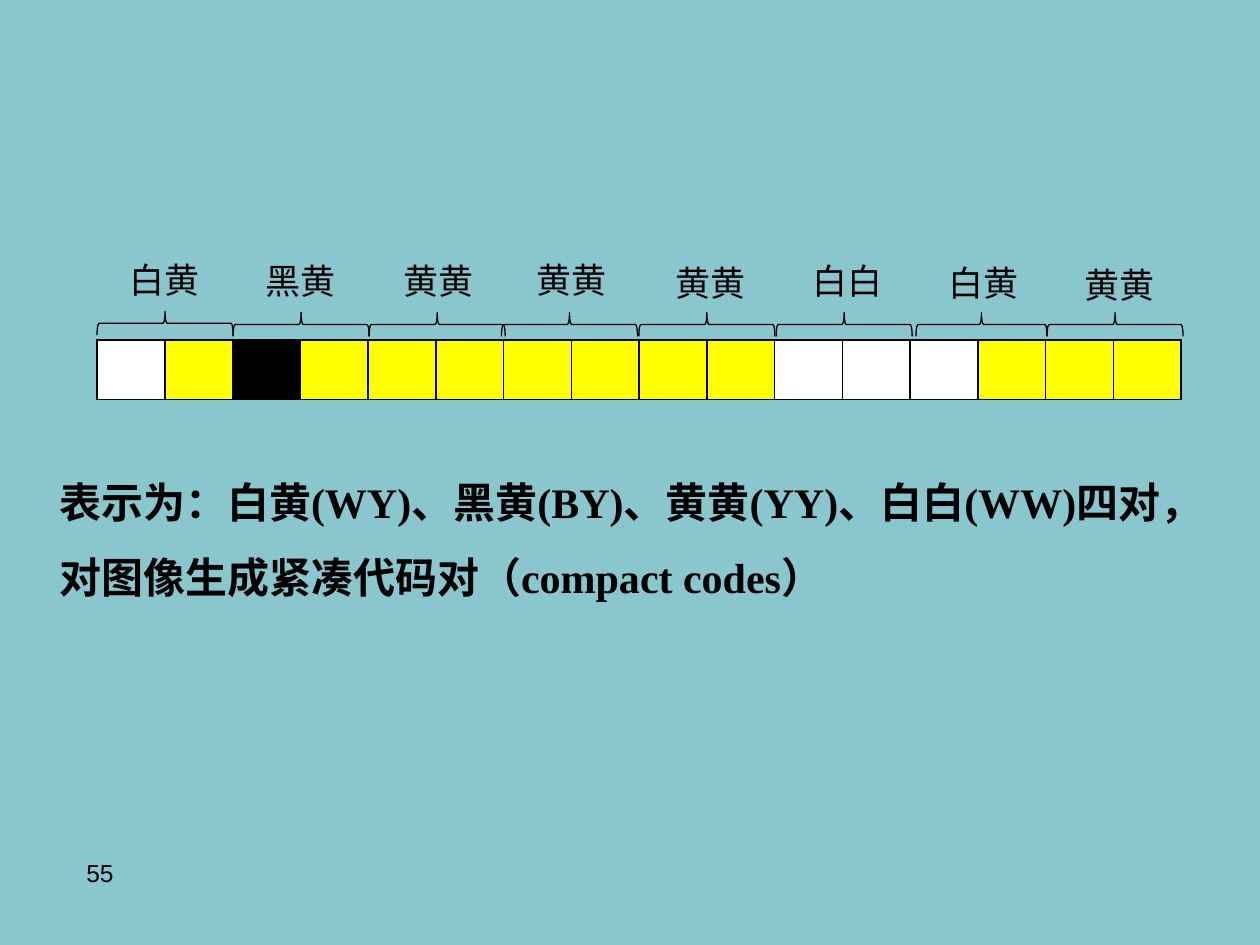
from dataclasses import dataclass

from lxml.etree import SubElement
from pptx import Presentation
from pptx.dml.color import RGBColor as Color
from pptx.enum.shapes import MSO_SHAPE as Preset
from pptx.enum.text import MSO_ANCHOR as Anchor, MSO_AUTO_SIZE as AutoSize, PP_ALIGN as Align
from pptx.oxml.ns import qn
from pptx.slide import Slide
from pptx.util import Inches, Pt


@dataclass(frozen=True)
class Theme:
    background: Color = Color(0x8A, 0xC6, 0xCD)
    black: Color = Color(0, 0, 0)
    white: Color = Color(255, 255, 255)
    yellow: Color = Color(255, 255, 0)
    label_font: str = "Noto Sans CJK SC"
    body_font: str = "Times New Roman"
    number_font: str = "Arial"
    label_size: int = 20
    body_size: int = 24
    number_size: int = 14
    brace_line: float = 0.75
    cell_line: float = 1


@dataclass(frozen=True)
class Pair:
    name: str
    center: float
    brace_top: float
    label_left: float
    label_top: float
    span: float = 1.08


@dataclass(frozen=True)
class TextBlock:
    lines: tuple[str, ...]
    left: float
    top: float
    width: float
    height: float
    font: str
    size: int
    bold: bool = False
    align: Align = Align.LEFT
    anchor: Anchor = Anchor.TOP
    spacing: float = 1.0


THEME = Theme()
PIXELS = {"白": THEME.white, "黄": THEME.yellow, "黑": THEME.black}
BRACE_DEPTH = 0.19
PAIRS = (
    Pair("白黄", 1.31, 2.47, 0.93, 2.0),
    Pair("黑黄", 2.39, 2.48, 2.01, 2.01),
    Pair("黄黄", 3.47, 2.48, 3.1, 2.01),
    Pair("黄黄", 4.52, 2.48, 4.16, 2.0),
    Pair("黄黄", 5.61, 2.48, 5.26, 2.03),
    Pair("白白", 6.7, 2.48, 6.35, 2.01),
    Pair("白黄", 7.79, 2.48, 7.43, 2.03, span=1.04),
    Pair("黄黄", 8.85, 2.48, 8.51, 2.04),
)


def draw_text(page: Slide, block: TextBlock) -> None:
    box = page.shapes.add_textbox(
        Inches(block.left), Inches(block.top), Inches(block.width), Inches(block.height)
    )
    frame = box.text_frame
    frame_format = {
        "word_wrap": True,
        "auto_size": AutoSize.SHAPE_TO_FIT_TEXT,
        "vertical_anchor": block.anchor,
    }
    for name, value in frame_format.items():
        setattr(frame, name, value)
    frame.text = "\n".join(block.lines)
    font_format = {"name": block.font, "size": Pt(block.size), "bold": block.bold}
    for para in frame.paragraphs:
        para.alignment = block.align
        para.line_spacing = block.spacing
        for span in para.runs:
            for name, value in font_format.items():
                setattr(span.font, name, value)
            span.font.color.rgb = THEME.black
            SubElement(span.font._element, qn("a:ea"), typeface=THEME.label_font)


def draw_brace(page: Slide, pair: Pair) -> None:
    middle = pair.brace_top + BRACE_DEPTH / 2
    brace = page.shapes.add_shape(
        Preset.RIGHT_BRACE,
        Inches(pair.center - BRACE_DEPTH / 2),
        Inches(middle - pair.span / 2),
        Inches(BRACE_DEPTH),
        Inches(pair.span),
    )
    brace.rotation = 270
    brace.shadow.inherit = False
    brace.fill.background()
    brace.line.color.rgb = THEME.black
    brace.line.width = Pt(THEME.brace_line)


def draw_pixel_row(page: Slide, colors: list[Color]) -> None:
    table = page.shapes.add_table(
        1, len(colors), Inches(0.77), Inches(2.7), Inches(8.61), Inches(0.47)
    ).table
    table.first_row = False
    table.horz_banding = False
    for cell, color in zip(table.iter_cells(), colors):
        properties = cell._tc.get_or_add_tcPr()
        for side in ("a:lnL", "a:lnR", "a:lnT", "a:lnB"):
            border = SubElement(properties, qn(side), w=str(Pt(THEME.cell_line)))
            fill = SubElement(border, qn("a:solidFill"))
            SubElement(fill, qn("a:srgbClr"), val=str(THEME.black))
        cell.fill.solid()
        cell.fill.fore_color.rgb = color


def main() -> None:
    deck = Presentation()
    deck.slide_width = Inches(10)
    deck.slide_height = Inches(7.5)
    page = deck.slides.add_slide(deck.slide_layouts[6])
    page.background.fill.solid()
    page.background.fill.fore_color.rgb = THEME.background

    draw_text(page, TextBlock(
        ("55",), 0.5, 6.75, 0.5, 0.35, THEME.number_font, THEME.number_size,
        align=Align.RIGHT, anchor=Anchor.MIDDLE,
    ))
    draw_pixel_row(page, [PIXELS[letter] for pair in PAIRS for letter in pair.name])
    for pair in PAIRS:
        draw_brace(page, pair)
        draw_text(page, TextBlock(
            (pair.name,), pair.label_left, pair.label_top, 0.92, 0.44,
            THEME.label_font, THEME.label_size,
        ))
    draw_text(page, TextBlock(
        (
            "表示为：白黄(WY)、黑黄(BY)、黄黄(YY)、白白(WW)四对，",
            "对图像生成紧凑代码对（compact codes）",
        ),
        0.37, 3.53, 9.38, 1.24, THEME.body_font, THEME.body_size, bold=True, spacing=1.5,
    ))
    deck.save("out.pptx")


if __name__ == "__main__":
    main()
